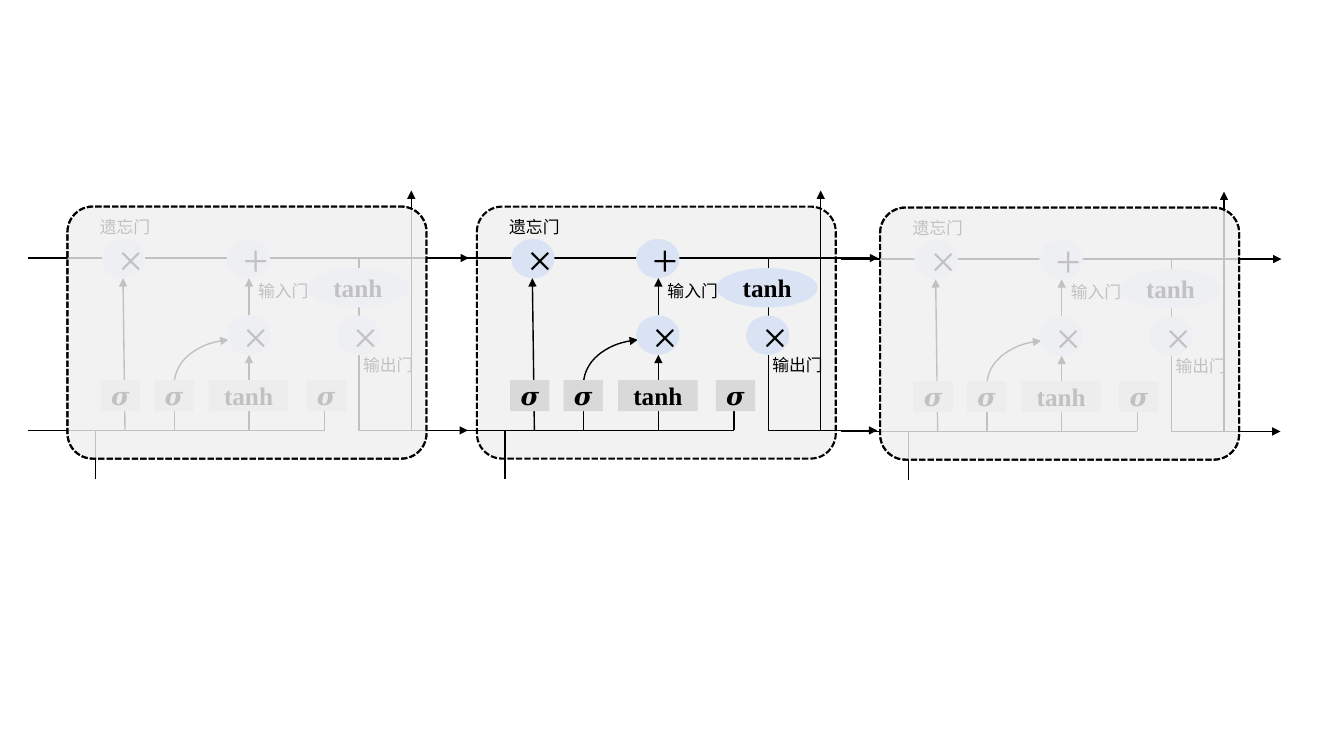
from lxml import etree
from pptx import Presentation
from pptx.dml.color import RGBColor
from pptx.enum import dml, shapes, text
from pptx.oxml.ns import qn
from pptx.util import Inches, Pt

BLACK, PANEL, GATE, LAYER = "000000", "F2F2F2", "DAE3F3", "D9D9D9"
SERIF, MATH, CJK = "Times New Roman", "Cambria", "Noto Sans CJK SC"

# Left, top and whether the cell is faded; later cells lie in front.
CELLS = [(4.73, 2.05, False), (8.73, 2.06, True), (0.67, 2.05, True)]
CELL_W, CELL_H = 3.56, 2.5

# Everything below is measured from the top left corner of a cell.
CARRY_Y, HIDDEN_Y, LAYER_Y = 0.51, 2.22, 1.72
GATE_W, GATE_H, LAYER_H = 0.43, 0.39, 0.31
ADD_X, OUT_X, UP_X = 1.80, 2.89, 3.41
LINES = [  # x1, y1, x2, y2, arrow
    (OUT_X, 1.13, OUT_X, 0.94, False),
    (OUT_X, 0.70, OUT_X, CARRY_Y, False),
    (ADD_X, HIDDEN_Y, ADD_X, 1.47, True),
    (ADD_X, 1.08, ADD_X, 0.71, True),
    (0.57, HIDDEN_Y, 0.55, 0.71, True),
    (-0.39, CARRY_Y, 3.98, CARRY_Y, True),
    (-0.39, HIDDEN_Y, 2.55, HIDDEN_Y, False),
    (1.06, HIDDEN_Y, 1.06, 2.03, False),
    (2.55, HIDDEN_Y, 2.55, 2.03, False),
    (UP_X, HIDDEN_Y, UP_X, -0.16, True),
    (0.28, 2.70, 0.28, HIDDEN_Y, False),
]
OUTPUT_PATH = (OUT_X, 1.47, 3.97, HIDDEN_Y)
INPUT_ARC = (1.35, 1.03, 1.15, 1.78)
GATES = [  # symbol, left, top, width, size
    ("×", 0.34, 0.32, GATE_W, 32),
    ("+", 1.58, 0.32, GATE_W, 32),
    ("×", 1.58, 1.08, GATE_W, 32),
    ("tanh", 2.38, 0.61, 1, 18),
    ("×", 2.67, 1.08, GATE_W, 32),
]
LAYERS = [("𝝈", 0.33, 0.39), ("𝝈", 0.86, 0.39), ("tanh", 1.40, 0.79), ("𝝈", 2.37, 0.39)]
LABELS = [("遗忘门", 0.06, 0.05), ("输入门", 1.63, 0.69), ("输出门", 2.67, 1.42)]

prs = Presentation()
prs.slide_width, prs.slide_height = Inches(13.33), Inches(7.5)
s = prs.slides.add_slide(prs.slide_layouts[6])


def rgb(value):
    return RGBColor.from_string(value)


def write(sp, words, size, font, bold=False):
    tf = sp.text_frame
    tf.word_wrap = True
    p = tf.paragraphs[0]
    p.alignment = text.PP_ALIGN.CENTER
    r = p.add_run()
    r.text = words
    r.font.size, r.font.name, r.font.bold = Pt(size), font, bold
    r.font.color.rgb = rgb(BLACK)
    etree.SubElement(r.font._element, qn("a:ea"), typeface=font)


def add_shape(kind, x, y, w, h, fill=None, line=None):
    sp = s.shapes.add_shape(kind, Inches(x), Inches(y), Inches(w), Inches(h))
    sp.shadow.inherit = False
    if fill:
        sp.fill.solid()
        sp.fill.fore_color.rgb = rgb(fill)
    else:
        sp.fill.background()
    if line:
        sp.line.color.rgb, sp.line.width = rgb(BLACK), Pt(line)
    else:
        sp.line.fill.background()
    return sp


def add_node(kind, x, y, w, h, fill, words, size):
    sp = add_shape(kind, x, y, w, h, fill)
    sp.text_frame.vertical_anchor = text.MSO_ANCHOR.MIDDLE
    write(sp, words, size, MATH if words == "𝝈" else SERIF, words == "tanh")


def add_arrowhead(sp):
    etree.SubElement(sp.line._get_or_add_ln(), qn("a:tailEnd"), type="triangle")


def add_line(x1, y1, x2, y2, arrow, kind=shapes.MSO_CONNECTOR.STRAIGHT):
    cn = s.shapes.add_connector(kind, Inches(x1), Inches(y1), Inches(x2), Inches(y2))
    cn.line.color.rgb, cn.line.width = rgb(BLACK), Pt(1)
    etree.SubElement(cn._element.spPr, qn("a:effectLst"))
    if arrow:
        add_arrowhead(cn)
    return cn


def add_down_then_right(x1, y1, x2, y2):
    """Turn a one-bend elbow a quarter so that it leaves downwards."""
    cx, cy = (x1 + x2) / 2, (y1 + y2) / 2
    half_w, half_h = (y2 - y1) / 2, (x2 - x1) / 2
    cn = add_line(cx + half_w, cy - half_h, cx - half_w, cy + half_h, True,
                  shapes.MSO_CONNECTOR.ELBOW)
    spPr = cn._element.spPr
    spPr.find(qn("a:xfrm")).set("rot", str(270 * 60000))
    spPr.find(qn("a:prstGeom")).set("prst", "bentConnector2")


def add_panel(x, y, opacity=None):
    sp = add_shape(shapes.MSO_SHAPE.ROUNDED_RECTANGLE, x, y, CELL_W, CELL_H, PANEL, 1.5)
    sp.adjustments[0] = 0.1
    sp.line.dash_style = dml.MSO_LINE.SQUARE_DOT
    if opacity:
        color = sp._element.spPr.find(qn("a:solidFill"))[0]
        etree.SubElement(color, qn("a:alpha"), val=str(opacity * 1000))


def add_cell(x, y):
    add_panel(x, y)
    for x1, y1, x2, y2, arrow in LINES:
        add_line(x + x1, y + y1, x + x2, y + y2, arrow)
    x1, y1, x2, y2 = OUTPUT_PATH
    add_down_then_right(x + x1, y + y1, x + x2, y + y2)

    left, top, w, h = INPUT_ARC
    arc = add_shape(shapes.MSO_SHAPE.ARC, x + left, y + top, w, h, line=1)
    arc.rotation = 286.5
    arc.adjustments[0], arc.adjustments[1] = 159.955, 188.937
    add_arrowhead(arc)

    for words, left, top, w, size in GATES:
        add_node(shapes.MSO_SHAPE.OVAL, x + left, y + top, w, GATE_H, GATE, words, size)
    for words, left, w in LAYERS:
        add_node(shapes.MSO_SHAPE.RECTANGLE, x + left, y + LAYER_Y, w, LAYER_H,
                 LAYER, words, 18)
    for words, left, top in LABELS:
        tb = s.shapes.add_textbox(Inches(x + left), Inches(y + top), Inches(1.02), Inches(0.3))
        write(tb, words, 12, CJK)
        tb.text_frame.auto_size = text.MSO_AUTO_SIZE.SHAPE_TO_FIT_TEXT


for x, y, _ in CELLS:
    add_cell(x, y)
for x, y, faded in CELLS:
    if faded:
        add_panel(x, y, opacity=80)

prs.save("out.pptx")
